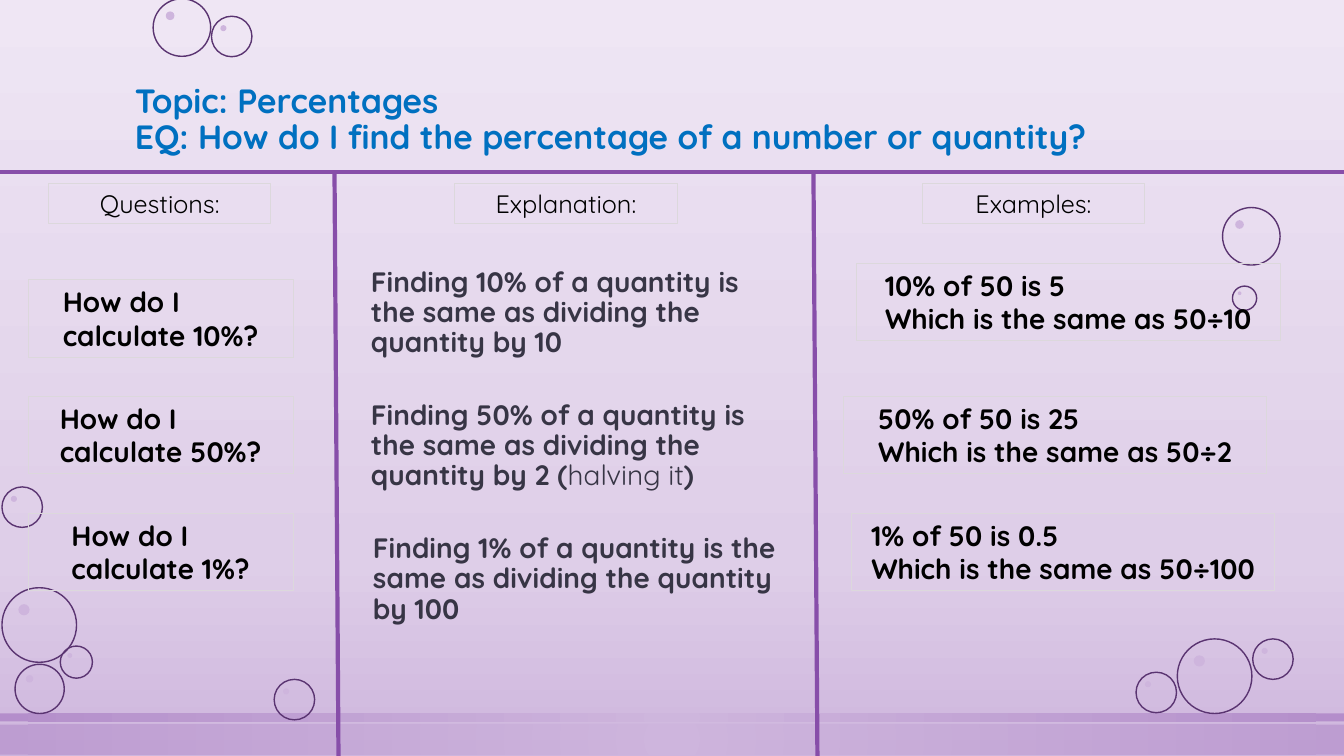
"""Build the percentages study-notes slide."""
from typing import NamedTuple

from lxml import etree
from pptx import Presentation
from pptx.dml.color import RGBColor
from pptx.enum.shapes import MSO_CONNECTOR, MSO_SHAPE
from pptx.enum.text import MSO_ANCHOR, PP_ALIGN
from pptx.oxml.ns import qn
from pptx.util import Cm, Pt

RECTANGLE, OVAL = MSO_SHAPE.RECTANGLE, MSO_SHAPE.OVAL
STRAIGHT = MSO_CONNECTOR.STRAIGHT
TOP, MIDDLE, BOTTOM = MSO_ANCHOR.TOP, MSO_ANCHOR.MIDDLE, MSO_ANCHOR.BOTTOM
LEFT = PP_ALIGN.LEFT

FONT = "Quicksand"
BLUE = RGBColor(0x00, 0x70, 0xC0)
BLACK = RGBColor(0x00, 0x00, 0x00)
SLATE = RGBColor(0x37, 0x35, 0x45)
PURPLE = RGBColor(0x87, 0x4E, 0xA9)
BUBBLE_LINE = RGBColor(0x5A, 0x34, 0x71)
BOX_LINE = RGBColor(0xDC, 0xD8, 0xDC)
PALE = RGBColor(0xEF, 0xE6, 0xF4)
LILAC = RGBColor(0xDE, 0xCE, 0xE8)
MAUVE = RGBColor(0xCE, 0xB5, 0xDD)
VIOLET = RGBColor(0xAD, 0x84, 0xC6)

PAGE_WIDTH, PAGE_HEIGHT = 33.87, 19.05


class Area(NamedTuple):
    left: float
    top: float
    width: float
    height: float


class Band(NamedTuple):
    area: Area
    stops: list[tuple[int, RGBColor]]
    opacity: int
    radial: bool


class Bubble(NamedTuple):
    left: float
    top: float
    size: float


class Rule(NamedTuple):
    start: tuple[float, float]
    end: tuple[float, float]


class Span(NamedTuple):
    text: str
    bold: bool = True


class Style(NamedTuple):
    size: int
    color: RGBColor
    anchor: MSO_ANCHOR
    spacing: float = 1.0
    indent: float = 0.0
    outlined: bool = False


class Note(NamedTuple):
    area: Area
    style: Style
    lines: list[list[Span]]


TITLE = Style(24, BLUE, BOTTOM, spacing=0.9)
HEADING = Style(18, BLACK, MIDDLE, outlined=True)
BOXED = Style(20, BLACK, MIDDLE, outlined=True)
EXPLANATION = Style(20, SLATE, TOP, spacing=0.9, indent=0.13)

BANDS = [
    Band(Area(0, 0, PAGE_WIDTH, PAGE_HEIGHT), [(0, PALE), (74, LILAC), (100, MAUVE)], 100, False),
    Band(Area(0, 18.26, PAGE_WIDTH, 0.76), [(0, MAUVE), (100, VIOLET)], 50, True),
    Band(Area(0, 17.98, PAGE_WIDTH, 0.2), [(0, MAUVE), (100, VIOLET)], 80, True),
]
BUBBLES = [
    Bubble(0.05, 14.81, 1.88), Bubble(1.52, 16.28, 0.81), Bubble(0.38, 16.74, 1.24),
    Bubble(6.91, 17.12, 1.02), Bubble(0.05, 12.27, 1.02), Bubble(29.67, 16.1, 1.88),
    Bubble(28.63, 16.94, 1.02), Bubble(31.57, 16.1, 1.02), Bubble(30.81, 5.23, 1.45),
    Bubble(31.06, 7.21, 0.61), Bubble(3.86, -0.03, 1.45), Bubble(5.33, 0.41, 1.02),
]
RULES = [
    Rule((0, 4.34), (PAGE_WIDTH, 4.34)),
    Rule((8.43, 4.37), (8.53, PAGE_HEIGHT)),
    Rule((20.5, 4.37), (20.6, PAGE_HEIGHT)),
]
HEADINGS = [(1.22, "Questions:"), (11.46, "Explanation:"), (23.24, "Examples:")]
QUESTIONS = [
    (7.04, "How do I calculate 10%?"),
    (9.98, "How do I calculate 50%?"),
    (12.93, "How do I calculate 1%?"),
]
EXPLANATIONS = [
    (8.97, 6.63, [Span("Finding 10% of a quantity is the same as dividing the quantity by 10")]),
    (8.97, 9.98, [Span("Finding 50% of a quantity is the same as dividing the quantity by 2 ("),
                  Span("halving it", False), Span(")")]),
    (9.02, 13.34, [Span("Finding 1% of a quantity is the same as dividing the quantity by 100")]),
]
EXAMPLES = [
    (21.59, 6.63, "10% of 50 is 5", "Which is the same as 50÷10"),
    (21.26, 9.98, "50% of 50 is 25", "Which is the same as 50÷2"),
    (21.46, 12.93, "1% of 50 is 0.5", "Which is the same as 50÷100"),
]
NOTES = [
    Note(Area(3.15, 0.97, 27.56, 3.1), TITLE,
         [[Span("Topic: Percentages")],
          [Span("EQ: How do I find the percentage of a number or quantity?")]]),
    *[Note(Area(left, 4.62, 5.61, 1.02), HEADING, [[Span(text, False)]])
      for left, text in HEADINGS],
    *[Note(Area(0.71, top, 6.68, 1.96), BOXED, [[Span(text)]]) for top, text in QUESTIONS],
    *[Note(Area(left, top, 10.85, 2.84), EXPLANATION, [spans])
      for left, top, spans in EXPLANATIONS],
    *[Note(Area(left, top, 10.67, 1.96), BOXED, [[Span(result)], [Span(reason)]])
      for left, top, result, reason in EXAMPLES],
]


def add_plain_shape(page, kind: MSO_SHAPE, area: Area):
    """Add a preset shape without shadow, fill or line."""
    shape = page.shapes.add_shape(kind, *map(Cm, area))
    shape.shadow.inherit = False
    shape.fill.background()
    shape.line.fill.background()
    return shape


def add_band(page, band: Band) -> None:
    """Add a background rectangle with a gradient fill."""
    shape = add_plain_shape(page, RECTANGLE, band.area)
    shape.fill.gradient()
    gradient = shape._element.spPr.find(qn("a:gradFill"))
    for child in list(gradient):
        gradient.remove(child)
    stop_list = etree.SubElement(gradient, qn("a:gsLst"))
    for position, color in band.stops:
        stop = etree.SubElement(stop_list, qn("a:gs"), pos=str(position * 1000))
        tint = etree.SubElement(stop, qn("a:srgbClr"), val=str(color))
        etree.SubElement(tint, qn("a:alpha"), val=str(band.opacity * 1000))
    if band.radial:
        circle = etree.SubElement(gradient, qn("a:path"), {"path": "circle"})
        etree.SubElement(circle, qn("a:fillToRect"), l="50000", t="50000", r="50000", b="50000")
    else:
        etree.SubElement(gradient, qn("a:lin"), ang="5400000", scaled="0")


def add_bubble(page, bubble: Bubble) -> None:
    """Add an outlined circle and its small highlight."""
    left, top, size = bubble
    ring = add_plain_shape(page, OVAL, Area(left, top, size, size))
    ring.line.color.rgb = BUBBLE_LINE
    ring.line.width = Pt(1)
    offset, glint_size = 0.22 * size, 0.15 * size
    glint = add_plain_shape(page, OVAL, Area(left + offset, top + offset, glint_size, glint_size))
    glint.fill.solid()
    glint.fill.fore_color.rgb = MAUVE


def add_rule(page, rule: Rule) -> None:
    """Add a purple dividing line."""
    line = page.shapes.add_connector(STRAIGHT, *map(Cm, rule.start + rule.end))
    line.line.color.rgb = PURPLE
    line.line.width = Pt(3)
    etree.SubElement(line._element.spPr, qn("a:effectLst"))


def add_note(page, note: Note) -> None:
    """Add a text box, or an outlined box with its text block centred."""
    style = note.style
    if style.outlined:
        box = add_plain_shape(page, RECTANGLE, note.area)
        box.line.color.rgb = BOX_LINE
        box.line.width = Pt(0.75)
        box.text_frame._txBody.bodyPr.set("anchorCtr", "1")
    else:
        box = page.shapes.add_textbox(*map(Cm, note.area))
    frame = box.text_frame
    frame.word_wrap = True
    frame.vertical_anchor = style.anchor
    for index, spans in enumerate(note.lines):
        para = frame.add_paragraph() if index else frame.paragraphs[0]
        para.alignment = LEFT
        para.line_spacing = style.spacing
        para._p.get_or_add_pPr().set("marL", str(Cm(style.indent)))
        for span in spans:
            run = para.add_run()
            run.text = span.text
            run.font.name = FONT
            run.font.size = Pt(style.size)
            run.font.bold = span.bold
            run.font.color.rgb = style.color


def main() -> None:
    """Draw the slide and save the deck."""
    deck = Presentation()
    deck.slide_width, deck.slide_height = Cm(PAGE_WIDTH), Cm(PAGE_HEIGHT)
    page = deck.slides.add_slide(deck.slide_layouts[6])
    for draw, items in ((add_band, BANDS), (add_bubble, BUBBLES),
                        (add_rule, RULES), (add_note, NOTES)):
        for item in items:
            draw(page, item)
    deck.save("out.pptx")


if __name__ == "__main__":
    main()
